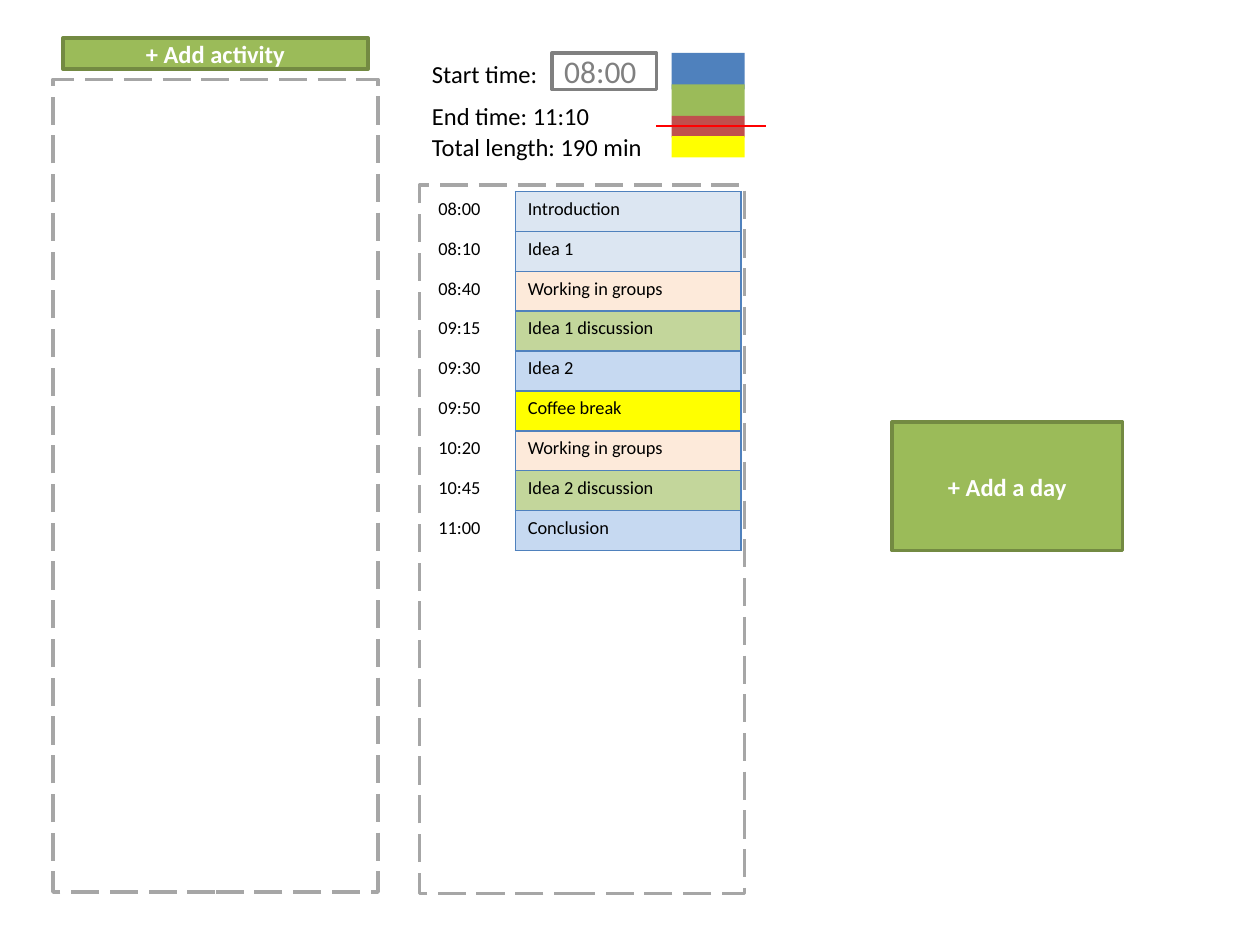
"""Build a day-planner slide with an activity list and a timed agenda."""
from lxml import etree
from pptx import Presentation
from pptx.dml.color import RGBColor
from pptx.enum.dml import MSO_LINE
from pptx.enum.shapes import MSO_CONNECTOR, MSO_SHAPE
from pptx.enum.text import MSO_ANCHOR, MSO_AUTO_SIZE, PP_ALIGN
from pptx.oxml.ns import qn
from pptx.util import Inches, Pt

RECTANGLE = MSO_SHAPE.RECTANGLE
STRAIGHT = MSO_CONNECTOR.STRAIGHT
LONG_DASH = MSO_LINE.LONG_DASH
MIDDLE = MSO_ANCHOR.MIDDLE
FIT_SHAPE = MSO_AUTO_SIZE.SHAPE_TO_FIT_TEXT
LEFT, CENTER = PP_ALIGN.LEFT, PP_ALIGN.CENTER
BLANK_LAYOUT = 6
FONT = "Calibri"

COLORS = {
    "white": "FFFFFF", "black": "000000", "gray": "808080", "dash": "A6A6A6",
    "green": "9BBB59", "dark green": "738A42", "blue": "4F81BD",
    "brick": "C0504D", "red": "FF0000", "yellow": "FFFF00",
    "pale blue": "DCE6F2", "light blue": "C6D9F1",
    "pale orange": "FDEADA", "light green": "C3D69B",
}

AGENDA = [
    ("08:00", "Introduction", "pale blue"),
    ("08:10", "Idea 1", "pale blue"),
    ("08:40", "Working in groups", "pale orange"),
    ("09:15", "Idea 1 discussion", "light green"),
    ("09:30", "Idea 2", "light blue"),
    ("09:50", "Coffee break", "yellow"),
    ("10:20", "Working in groups", "pale orange"),
    ("10:45", "Idea 2 discussion", "light green"),
    ("11:00", "Conclusion", "light blue"),
]
CATEGORY_BARS = [
    ("blue", 0.42, 0.29), ("green", 0.67, 0.25),
    ("brick", 0.92, 0.17), ("yellow", 1.08, 0.17),
]


def rgb(name):
    """Return the named colour."""
    return RGBColor.from_string(COLORS[name])


def write_text(text_frame, text, size=14, color="black", bold=False, align=LEFT):
    """Write one formatted paragraph into a text frame."""
    paragraph = text_frame.paragraphs[0]
    paragraph.alignment = align
    run = paragraph.add_run()
    run.text = text
    run.font.name = FONT
    run.font.size = Pt(size)
    run.font.bold = bold
    run.font.color.rgb = rgb(color)


class PlannerSlide:
    """Hold the current slide and draw styled elements on it."""

    def __init__(self, slide):
        """Keep the slide to draw on."""
        self.slide = slide

    def box(self, left, top, width, height, fill=None, line=None, dash=None):
        """Add a rectangle with an optional fill and outline."""
        shape = self.slide.shapes.add_shape(
            RECTANGLE, Inches(left), Inches(top), Inches(width), Inches(height))
        shape.shadow.inherit = False
        if fill:
            shape.fill.solid()
            shape.fill.fore_color.rgb = rgb(fill)
        else:
            shape.fill.background()
        if line:
            shape.line.color.rgb = rgb(line)
            shape.line.width = Pt(2)
            shape.line.dash_style = dash
        else:
            shape.line.fill.background()
        return shape

    def text_box(self, bounds, fill, line, text, **text_format):
        """Add a rectangle with vertically centred text."""
        text_frame = self.box(*bounds, fill=fill, line=line).text_frame
        text_frame.vertical_anchor = MIDDLE
        write_text(text_frame, text, **text_format)

    def button(self, text, *bounds):
        """Add a green button."""
        self.text_box(bounds, "green", "dark green", text,
                      color="white", bold=True, align=CENTER)

    def label(self, text, left, top, width, wrap=False):
        """Add a plain line of text."""
        shape = self.slide.shapes.add_textbox(
            Inches(left), Inches(top), Inches(width), Inches(0.34))
        shape.text_frame.word_wrap = wrap
        shape.text_frame.auto_size = FIT_SHAPE
        write_text(shape.text_frame, text)

    def line(self, start, end, color, width):
        """Add a straight line without a shadow."""
        connector = self.slide.shapes.add_connector(
            STRAIGHT, *(Inches(value) for value in (*start, *end)))
        connector.line.color.rgb = rgb(color)
        connector.line.width = Pt(width)
        etree.SubElement(connector._element.spPr, qn("a:effectLst"))

    def cell_borders(self, cell, sides):
        """Give the listed sides of a cell a thin blue border."""
        properties = cell._tc.get_or_add_tcPr()
        for index, side in enumerate(sides):
            border = etree.Element(qn(f"a:ln{side}"), w=str(Pt(1)))
            fill = etree.SubElement(border, qn("a:solidFill"))
            etree.SubElement(fill, qn("a:srgbClr"), val=COLORS["blue"])
            properties.insert(index, border)

    def agenda(self, rows, left, top, widths, height):
        """Add the table of start times and coloured activities."""
        table = self.slide.shapes.add_table(
            len(rows), len(widths), Inches(left), Inches(top),
            Inches(sum(widths)), Inches(height)).table
        table.first_row = False
        table.horz_banding = False
        for column, width in zip(table.columns, widths):
            column.width = Inches(width)
        for index, (time, activity, fill) in enumerate(rows):
            time_cell, activity_cell = table.cell(index, 0), table.cell(index, 1)
            time_cell.fill.background()
            activity_cell.fill.solid()
            activity_cell.fill.fore_color.rgb = rgb(fill)
            self.cell_borders(time_cell, "R")
            self.cell_borders(activity_cell, "LRTB")
            write_text(time_cell.text_frame, time, size=10.5)
            write_text(activity_cell.text_frame, activity, size=10.5)


def main():
    """Build and save the planner."""
    presentation = Presentation()
    presentation.slide_width = Inches(10)
    presentation.slide_height = Inches(7.5)
    layout = presentation.slide_layouts[BLANK_LAYOUT]
    planner = PlannerSlide(presentation.slides.add_slide(layout))

    planner.button("+ Add activity", 0.5, 0.3, 2.42, 0.25)
    planner.box(0.42, 0.63, 2.58, 6.45, line="dash", dash=LONG_DASH)
    planner.box(3.33, 1.47, 2.58, 5.62, line="dash", dash=LONG_DASH)
    planner.text_box((4.38, 0.42, 0.83, 0.29), "white", "gray", "08:00",
                     size=18, color="gray")
    planner.label("Start time:", 3.33, 0.42, 1.05)
    planner.label("Total length: 190 min", 3.33, 1, 2.26, wrap=True)
    planner.label("End time: 11:10", 3.33, 0.75, 1.46)
    planner.button("+ Add a day", 7.08, 3.35, 1.83, 1.02)
    planner.agenda(AGENDA, 3.38, 1.52, (0.71, 1.79), 2.85)
    for color, top, height in CATEGORY_BARS:
        planner.box(5.33, top, 0.58, height, fill=color)
    planner.line((5.21, 1), (6.08, 1), "red", 0.75)

    presentation.save("out.pptx")


if __name__ == "__main__":
    main()
